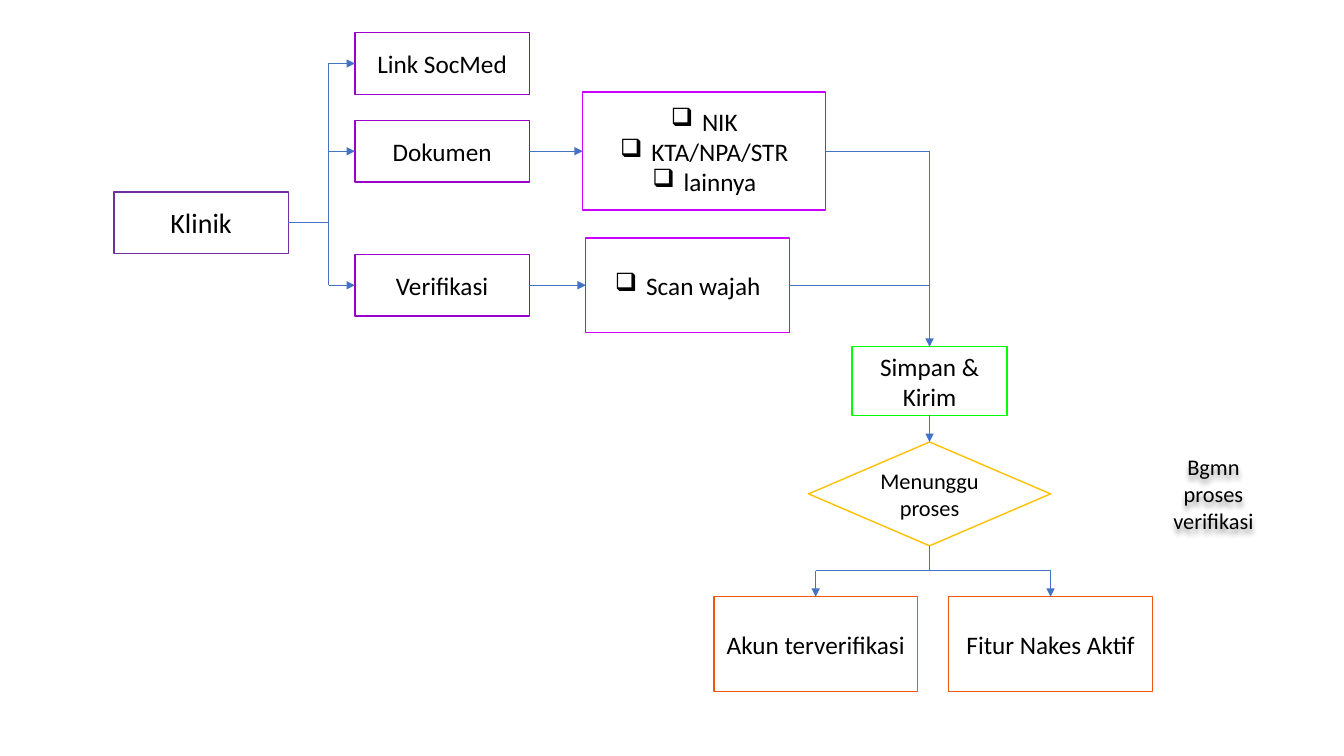
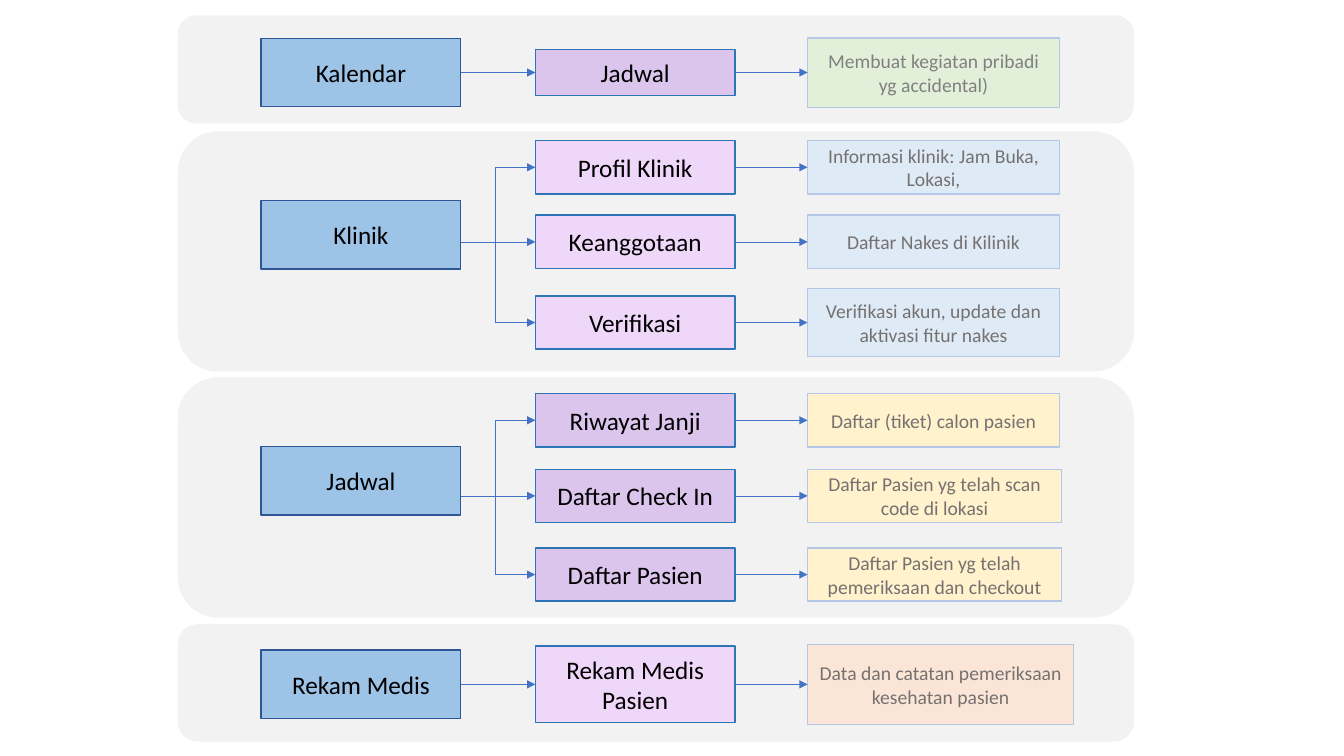
from lxml.etree import SubElement
from pptx import Presentation
from pptx.dml.color import RGBColor
from pptx.enum.shapes import MSO_CONNECTOR, MSO_SHAPE
from pptx.enum.text import MSO_ANCHOR, PP_ALIGN
from pptx.oxml.ns import qn
from pptx.util import Inches, Pt

COLORS = {
    "black": "000000", "white": "FFFFFF", "arrow": "4472C4", "band": "F2F2F2",
    "purple": "7030A0", "violet": "9900CC", "magenta": "CC00FF",
    "green": "00FF00", "amber": "FFC000", "orange": "EF5611",
    "blue": "9DC3E6", "navy": "2F5597", "azure": "2E75B6",
    "plum": "DCC5ED", "lilac": "EED7F9", "periwinkle": "B4C7E7",
    "mint": "E2F0D9", "sky": "DEEBF7", "cream": "FFF2CC", "peach": "FBE5D6",
    "gray": "808080", "warm gray": "767171",
}

# style: fill, outline, text size, text colour
STYLES = {
    "root": ("white", "purple", 20, "black"),
    "step": ("white", "violet", 18, "black"),
    "detail": ("white", "magenta", 18, "black"),
    "submit": ("white", "green", 18, "black"),
    "decision": (None, "amber", 16, "black"),
    "question": (None, None, 16, "black"),
    "outcome": (None, "orange", 18, "black"),
    "band": ("band", "band", 18, "black"),
    "menu": ("blue", "navy", 18, "black"),
    "plum": ("plum", "azure", 18, "black"),
    "lilac": ("lilac", "azure", 18, "black"),
    "mint": ("mint", "periwinkle", 14, "gray"),
    "sky": ("sky", "periwinkle", 14, "warm gray"),
    "cream": ("cream", "periwinkle", 14, "warm gray"),
    "peach": ("peach", "periwinkle", 14, "warm gray"),
}
TOP, LEFT, BOTTOM, RIGHT = range(4)


def rgb(name):
    return RGBColor.from_string(COLORS[name])


def apply(target, values):
    for name, value in values.items():
        setattr(target, name, value)


def paint(fill, color):
    if color:
        fill.solid()
        fill.fore_color.rgb = rgb(color)
    else:
        fill.background()


def box(s, style, lines, x, cy, w, h, shape=MSO_SHAPE.RECTANGLE, bullet=None):
    """Place a shape by its left edge and vertical centre."""
    fill, outline, size, color = STYLES[style]
    sp = s.shapes.add_shape(shape, Inches(x), Inches(cy - h / 2), Inches(w), Inches(h))
    sp.shadow.inherit = False
    paint(sp.fill, fill)
    paint(sp.line.fill, outline)
    if outline:
        sp.line.width = Pt(1)
    tf = sp.text_frame
    apply(tf, {"word_wrap": True, "vertical_anchor": MSO_ANCHOR.MIDDLE})
    for i, line in enumerate(lines):
        p = tf.add_paragraph() if i else tf.paragraphs[0]
        p.alignment = PP_ALIGN.CENTER
        if bullet:
            pPr = p._p.get_or_add_pPr()
            pPr.set("marL", str(Inches(0.31)))
            pPr.set("indent", str(-Inches(0.31)))
            SubElement(pPr, qn("a:buChar"), char=bullet)
        r = p.add_run()
        r.text = line
        apply(r.font, {"name": "Calibri", "size": Pt(size)})
        r.font.color.rgb = rgb(color)
    return sp


def link(s, start, end, arrow=True):
    """Join two ends, each a point (x, y) or a side (shape, site)."""
    joined = [hasattr(e[0], "shape_id") for e in (start, end)]
    points = [(0, 0) if j else e for j, e in zip(joined, (start, end))]
    c = s.shapes.add_connector(MSO_CONNECTOR.STRAIGHT,
                               *[Inches(v) for point in points for v in point])
    if joined[0]:
        c.begin_connect(*start)
    if joined[1]:
        c.end_connect(*end)
    c.line.width = Pt(0.5)
    c.line.color.rgb = rgb("arrow")
    spPr = c._element.spPr
    if arrow:
        SubElement(spPr.find(qn("a:ln")), qn("a:tailEnd"), type="triangle")
    SubElement(spPr, qn("a:effectLst"))


def branch(s, start, stub_y, trunk, targets, ys):
    """Fan out from a start to the left sides of stacked boxes."""
    link(s, start, (trunk, stub_y), arrow=False)
    link(s, (trunk, ys[0]), (trunk, ys[-1]), arrow=False)
    for target, y in zip(targets, ys):
        link(s, (trunk, y), (target, LEFT))


def clinic_tree(s, x, y, merge_x):
    """Clinic steps with their details, gathered on one line; returns its top."""
    ys = [y + dy for dy in (0.3, 1.17, 2.5)]
    root = box(s, "root", ["Klinik"], x, y + 1.88, 1.73, 0.61)
    steps = [box(s, "step", [text], x + 2.39, cy, 1.73, 0.61)
             for text, cy in zip(("Link SocMed", "Dokumen", "Verifikasi"), ys)]
    branch(s, (root, RIGHT), y + 1.88, x + 2.13, steps, ys)
    details = [(["NIK", "KTA/NPA/STR", "lainnya"], 4.65, 2.41, 1.17),
               (["Scan wajah"], 4.68, 2.02, 0.94)]
    for step, cy, (lines, dx, w, h) in zip(steps[1:], ys[1:], details):
        detail = box(s, "detail", lines, x + dx, cy, w, h, bullet="❑")
        link(s, (step, RIGHT), (detail, LEFT))
        link(s, (detail, RIGHT), (merge_x, cy), arrow=False)
    return merge_x, ys[1]


def approval_flow(s, cx, y, merge_top):
    """Submission, waiting decision and two outcomes around a centre line."""
    submit = box(s, "submit", ["Simpan & Kirim"], cx - 0.77, y + 0.34, 1.54, 0.68)
    decision = box(s, "decision", ["Menunggu proses"], cx - 1.2, y + 1.46, 2.4, 1.03,
                   MSO_SHAPE.FLOWCHART_DECISION)
    link(s, merge_top, (submit, TOP))
    link(s, (submit, BOTTOM), (decision, TOP))

    # Outcomes below a shared bar
    bar_y, w, centers = y + 2.22, 2.02, (cx - 1.13, cx + 1.2)
    link(s, (decision, BOTTOM), (cx, bar_y), arrow=False)
    link(s, (centers[0], bar_y), (centers[1], bar_y), arrow=False)
    for text, center in zip(("Akun terverifikasi", "Fitur Nakes Aktif"), centers):
        outcome = box(s, "outcome", [text], center - w / 2, y + 2.95, w, 0.94)
        link(s, (center, bar_y), (outcome, TOP))


def open_question(s, x, cy):
    """Unframed remark with shadowed text."""
    sp = box(s, "question", ["Bgmn proses verifikasi"], x, cy, 2.59, 1.03,
             MSO_SHAPE.FLOWCHART_DECISION)
    shadow = SubElement(sp._element.spPr.find(qn("a:effectLst")), qn("a:outerShdw"),
                        blurRad="50800", dist="38100", dir="5400000", rotWithShape="0")
    color = SubElement(shadow, qn("a:srgbClr"), val=COLORS["black"])
    SubElement(color, qn("a:alpha"), val="40000")


def menu_band(s, x, y, w, h, menu, menu_dy, rows):
    """One menu; rows hold dy, module (style, text, h), note (style, text, w, h)."""
    box(s, "band", [], x, y + h / 2, w, h, MSO_SHAPE.ROUNDED_RECTANGLE)
    root = box(s, "menu", [menu], x + 0.82, y + menu_dy, 1.98, 0.68)
    modules, ys = [], []
    for dy, (style, text, module_h), (note_style, note_text, note_w, note_h) in rows:
        cy = y + dy
        module = box(s, style, [text], x + 3.54, cy, 1.98, module_h)
        note = box(s, note_style, [note_text], x + 6.24, cy, note_w, note_h)
        link(s, (module, RIGHT), (note, LEFT))
        modules.append(module)
        ys.append(cy)
    if len(rows) == 1:
        link(s, (root, RIGHT), (modules[0], LEFT))
    else:
        branch(s, (x + 2.8, ys[1]), ys[1], x + 3.14, modules, ys)


# Bands: top, height, menu, menu centre, rows
BANDS = [
    (0.16, 1.06, "Kalendar", 0.56, [
        (0.56, ("plum", "Jadwal", 0.46),
         ("mint", "Membuat kegiatan pribadi yg accidental)", 2.5, 0.69))]),
    (1.31, 2.37, "Klinik", 1.02, [
        (0.35, ("lilac", "Profil Klinik", 0.53),
         ("sky", "Informasi klinik: Jam Buka, Lokasi,", 2.5, 0.53)),
        (1.09, ("lilac", "Keanggotaan", 0.53),
         ("sky", "Daftar Nakes di Kilinik", 2.5, 0.53)),
        (1.89, ("lilac", "Verifikasi", 0.53),
         ("sky", "Verifikasi akun, update dan aktivasi fitur nakes", 2.5, 0.68))]),
    (3.75, 2.37, "Jadwal", 1.02, [
        (0.42, ("plum", "Riwayat Janji", 0.53),
         ("cream", "Daftar (tiket) calon pasien", 2.5, 0.53)),
        (1.17, ("plum", "Daftar Check In", 0.53),
         ("cream", "Daftar Pasien yg telah scan code di lokasi", 2.52, 0.53)),
        (1.95, ("plum", "Daftar Pasien", 0.53),
         ("cream", "Daftar Pasien yg telah pemeriksaan dan checkout", 2.52, 0.53))]),
    (6.2, 1.15, "Rekam Medis", 0.59, [
        (0.59, ("lilac", "Rekam Medis Pasien", 0.76),
         ("peach", "Data dan catatan pemeriksaan kesehatan pasien", 2.64, 0.79))]),
]


def verification_slide(s):
    center = 9.22
    merge_top = clinic_tree(s, 1.13, 0.33, center)
    approval_flow(s, center, 3.44, merge_top)
    open_question(s, 10.74, 4.9)


def menu_slide(s):
    for top, height, menu, menu_dy, rows in BANDS:
        menu_band(s, 1.77, top, 9.47, height, menu, menu_dy, rows)


def main():
    prs = Presentation()
    apply(prs, {"slide_width": Inches(13.33), "slide_height": Inches(7.5)})
    for build in (verification_slide, menu_slide):
        build(prs.slides.add_slide(prs.slide_layouts[6]))
    prs.save("out.pptx")


if __name__ == "__main__":
    main()
